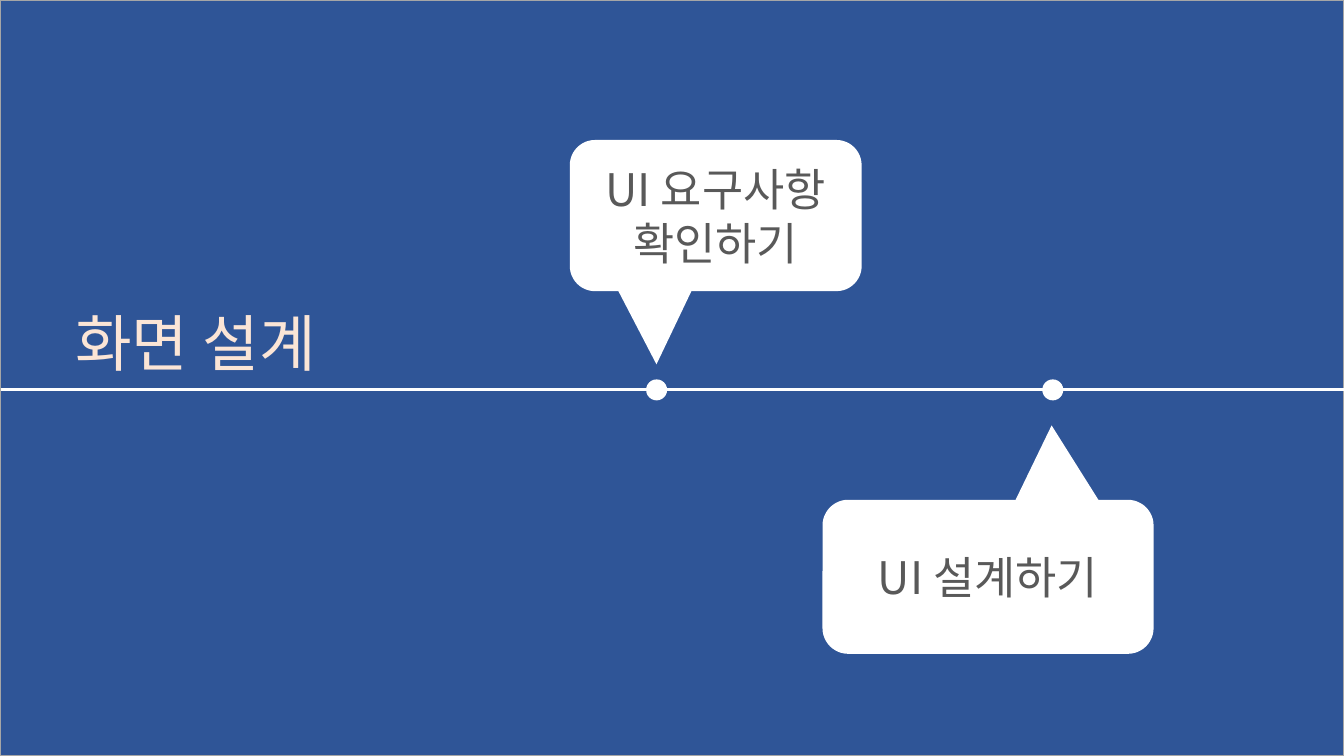
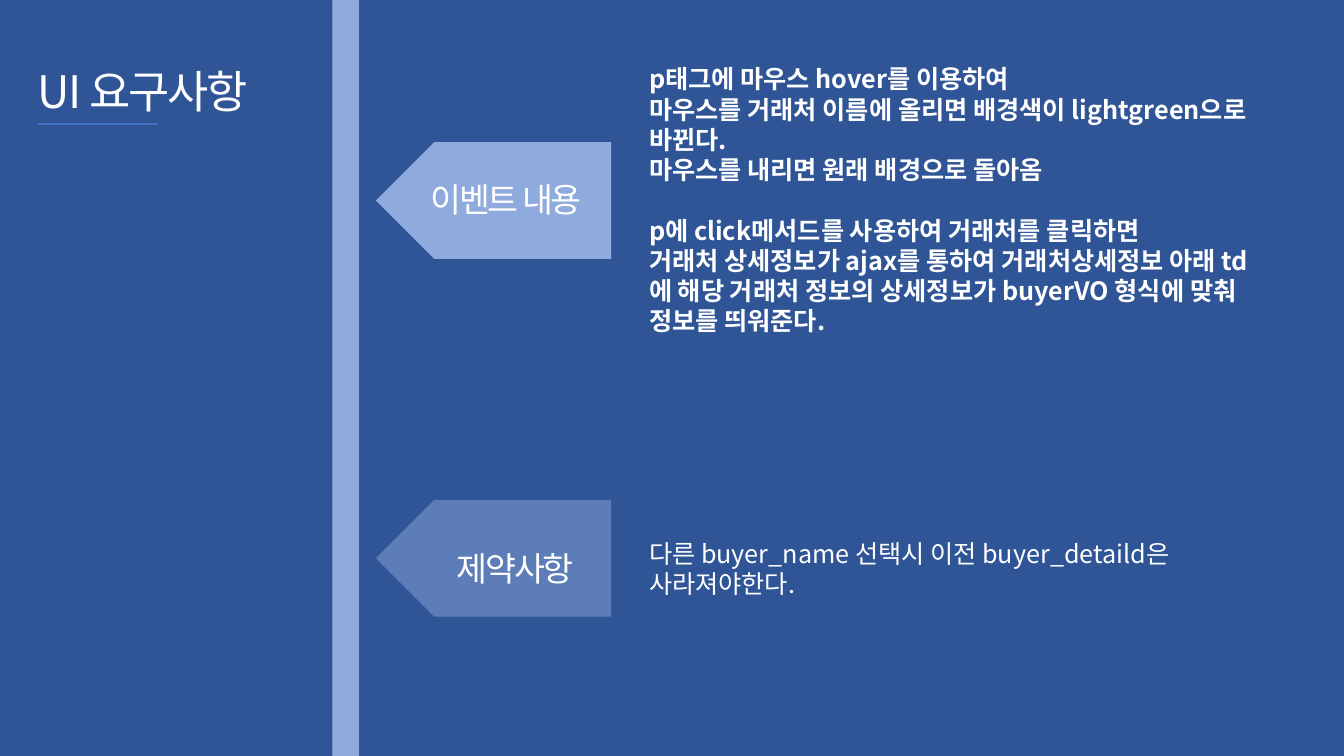
from dataclasses import dataclass

from lxml import etree
from pptx import Presentation
from pptx.dml.color import RGBColor
from pptx.enum.shapes import MSO_CONNECTOR as CONN, MSO_SHAPE as SHAPE
from pptx.enum.text import MSO_ANCHOR as ANCHOR, PP_ALIGN as ALIGN
from pptx.oxml.ns import qn
from pptx.util import Pt

NAVY = RGBColor(0x2F, 0x55, 0x97)
SKY = RGBColor(0x8F, 0xAA, 0xDC)
BLUE = RGBColor(0x44, 0x72, 0xC4)
CREAM = RGBColor(0xFB, 0xE5, 0xD6)
GREY = RGBColor(0x59, 0x59, 0x59)
SILVER = RGBColor(0xA6, 0xA6, 0xA6)
WHITE = RGBColor(0xFF, 0xFF, 0xFF)

KOREAN = "Noto Sans CJK KR"
LATIN = "Montserrat"
WIDTH, HEIGHT = 960, 540
LINE_RATIO = 1.2
DOT = 15
AXIS_Y = 278


@dataclass(frozen=True)
class Box:
    x: float
    y: float
    w: float
    h: float

    def lengths(self) -> tuple:
        return Pt(self.x), Pt(self.y), Pt(self.w), Pt(self.h)


@dataclass(frozen=True)
class TextStyle:
    size: float
    color: RGBColor = WHITE
    font: str = KOREAN
    bold: bool = False
    spacing: float = 0
    align: ALIGN = ALIGN.LEFT
    wrap: bool = False


@dataclass(frozen=True)
class Callout:
    text: str
    box: Box
    tip: tuple[float, float]
    dot_x: float


@dataclass(frozen=True)
class Section:
    label: str
    label_box: Box
    tag_y: float
    alpha: int
    groups: tuple[tuple[str, ...], ...]
    body_box: Box
    bold: bool


TOPIC = TextStyle(44, CREAM, LATIN, align=ALIGN.CENTER)
BUBBLE = TextStyle(32, GREY, align=ALIGN.CENTER, wrap=True)
HEADING = TextStyle(32, spacing=-1.5)
LABEL = TextStyle(24, spacing=-1.5, align=ALIGN.CENTER)

CALLOUTS = (
    Callout("UI 요구사항 확인하기", Box(407, 100, 208.5, 108), (-0.203, 0.984), 469),
    Callout("UI 설계하기", Box(587.5, 357, 236.5, 110), (0.192, -0.983), 752),
)

SECTIONS = (
    Section(
        "이벤트 내용", Box(294.5, 124.5, 134, 36), 101.5, 100,
        (
            (
                "p태그에 마우스 hover를 이용하여",
                "마우스를 거래처 이름에 올리면 배경색이 lightgreen으로 바뀐다.",
                "마우스를 내리면 원래 배경으로 돌아옴",
            ),
            (
                "p에 click메서드를 사용하여 거래처를 클릭하면",
                "거래처 상세정보가 ajax를 통하여 거래처상세정보 아래 td에 해당 "
                "거래처 정보의 상세정보가 buyerVO 형식에 맞춰 정보를 띄워준다.",
            ),
        ),
        Box(456.5, 42, 444, 204), True,
    ),
    Section(
        "제약사항", Box(315.5, 388, 105, 36), 357, 47,
        (("다른 buyer_name 선택시 이전 buyer_detaild은 사라져야한다.",),),
        Box(456.5, 381, 444, 51), False,
    ),
)


def add_slide(prs):
    s = prs.slides.add_slide(prs.slide_layouts[6])
    s.background.fill.solid()
    s.background.fill.fore_color.rgb = NAVY
    return s


def add_shape(s, kind: SHAPE, box: Box, color: RGBColor, alpha: int = 100):
    sp = s.shapes.add_shape(kind, *box.lengths())
    sp.shadow.inherit = False
    sp.fill.solid()
    sp.fill.fore_color.rgb = color
    sp.line.fill.background()
    if alpha < 100:
        clr = sp.fill._xPr.find(qn("a:solidFill"))[0]
        etree.SubElement(clr, qn("a:alpha"), val=str(alpha * 1000))
    return sp


def add_line(s, x1: float, x2: float, y: float, color: RGBColor, width: float) -> None:
    cx = s.shapes.add_connector(CONN.STRAIGHT, Pt(x1), Pt(y), Pt(x2), Pt(y))
    cx.line.color.rgb = color
    cx.line.width = Pt(width)
    etree.SubElement(cx._element.spPr, qn("a:effectLst"))


def write(tf, groups: tuple[tuple[str, ...], ...], style: TextStyle) -> None:
    tf.word_wrap = style.wrap
    leading = Pt(style.size * LINE_RATIO)
    lines = [(g, i, text) for g, group in enumerate(groups) for i, text in enumerate(group)]
    for n, (g, i, text) in enumerate(lines):
        p = tf.add_paragraph() if n else tf.paragraphs[0]
        p.alignment = style.align
        p.line_spacing = leading
        if g and i == 0:
            p.space_before = leading
        r = p.add_run()
        r.text = text
        r.font.size = Pt(style.size)
        r.font.bold = style.bold
        r.font.color.rgb = style.color
        r.font.name = style.font
        rpr = r.font._element
        etree.SubElement(rpr, qn("a:ea"), typeface=KOREAN)
        if style.spacing:
            rpr.set("spc", str(int(style.spacing * 100)))


def add_text(s, box: Box, groups: tuple[tuple[str, ...], ...], style: TextStyle) -> None:
    tb = s.shapes.add_textbox(*box.lengths())
    write(tb.text_frame, groups, style)


def add_callout(s, callout: Callout) -> None:
    sp = add_shape(s, SHAPE.ROUNDED_RECTANGULAR_CALLOUT, callout.box, WHITE)
    sp.adjustments[0], sp.adjustments[1] = callout.tip
    sp.text_frame.vertical_anchor = ANCHOR.MIDDLE
    write(sp.text_frame, ((callout.text,),), BUBBLE)
    dot = Box(callout.dot_x - DOT / 2, AXIS_Y + 0.5 - DOT / 2, DOT, DOT)
    add_shape(s, SHAPE.OVAL, dot, WHITE)


def add_section(s, section: Section) -> None:
    tag = add_shape(s, SHAPE.PENTAGON, Box(268.5, section.tag_y, 168, 83.5), SKY, section.alpha)
    tag.rotation = 180
    add_text(s, section.label_box, ((section.label,),), LABEL)
    add_text(s, section.body_box, section.groups, TextStyle(18, bold=section.bold, wrap=True))


def build_overview(prs) -> None:
    s = add_slide(prs)
    frame = add_shape(s, SHAPE.RECTANGLE, Box(0, 0, WIDTH, HEIGHT), NAVY)
    frame.line.color.rgb = SILVER
    frame.line.width = Pt(1)
    add_line(s, 0.5, WIDTH, AXIS_Y, WHITE, 2)
    for callout in CALLOUTS:
        add_callout(s, callout)
    add_text(s, Box(37.5, 214, 204.5, 60.5), (("화면 설계",),), TOPIC)


def build_requirements(prs) -> None:
    s = add_slide(prs)
    add_shape(s, SHAPE.RECTANGLE, Box(237.5, 0, 19, HEIGHT), SKY)
    add_text(s, Box(20, 42, 176.5, 46), (("UI 요구사항",),), HEADING)
    add_line(s, 27, 113, 88.5, BLUE, 1.75)
    for section in SECTIONS:
        add_section(s, section)


def main() -> None:
    prs = Presentation()
    prs.slide_width, prs.slide_height = Pt(WIDTH), Pt(HEIGHT)
    build_overview(prs)
    build_requirements(prs)
    prs.save("out.pptx")


if __name__ == "__main__":
    main()
